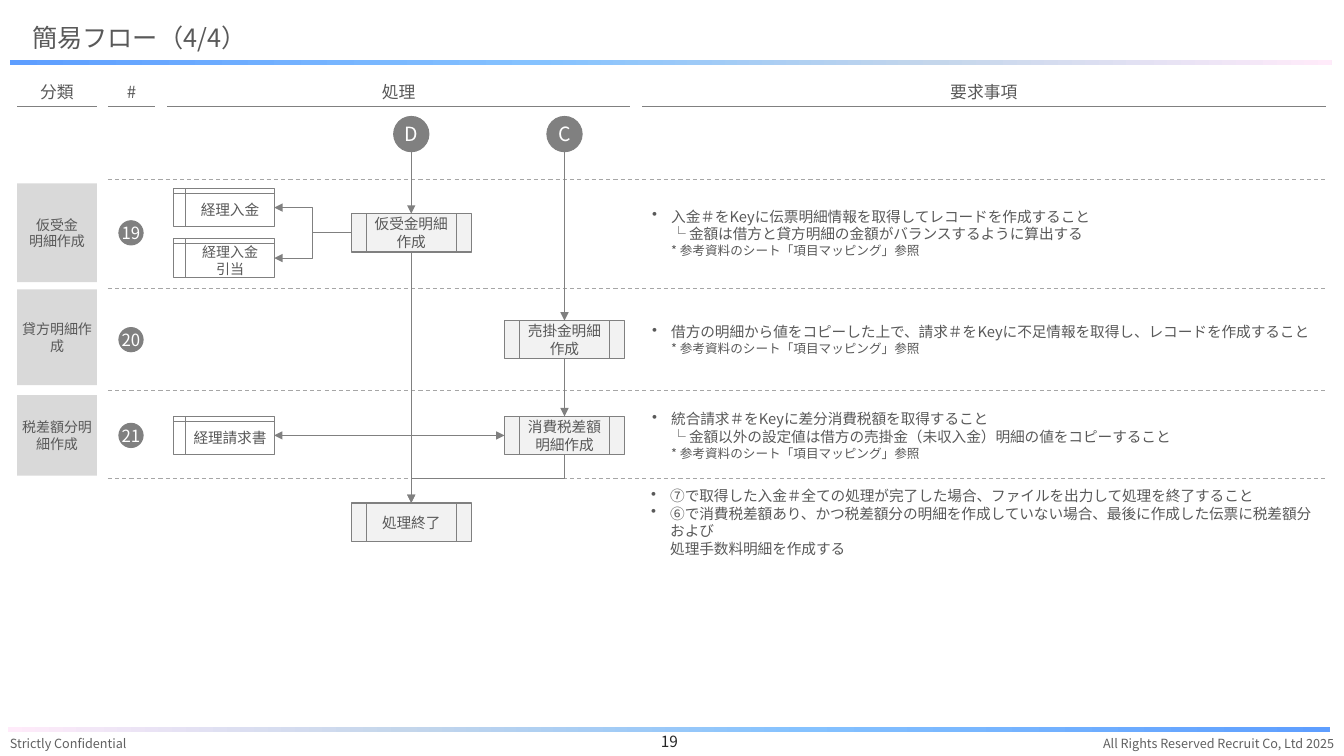
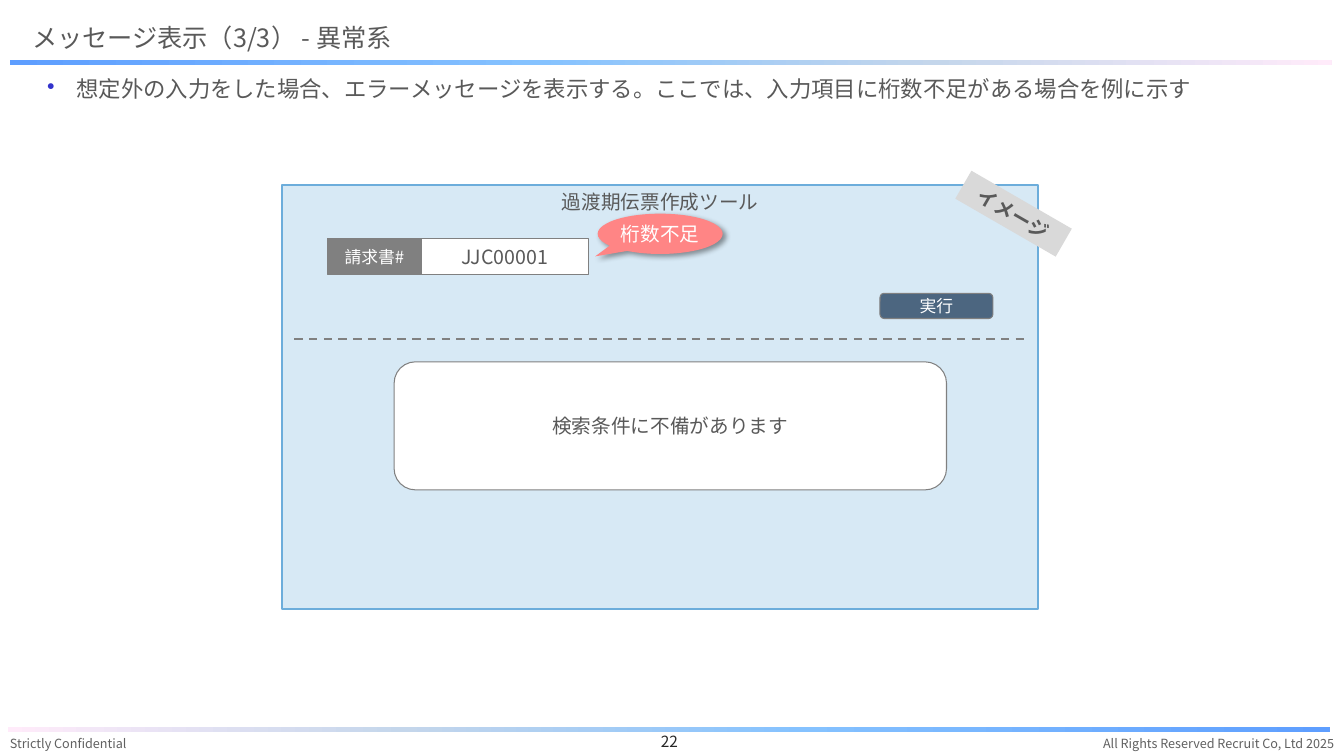
from dataclasses import dataclass
from typing import NamedTuple, Optional, Sequence

from lxml.etree import SubElement
from pptx import Presentation
from pptx.dml.color import RGBColor
from pptx.enum.dml import MSO_LINE
from pptx.enum.shapes import MSO_CONNECTOR, MSO_SHAPE
from pptx.enum.text import MSO_ANCHOR, PP_ALIGN
from pptx.oxml.ns import qn
from pptx.util import Emu, Inches, Pt

# The slide is a grid of square cells, ten to the inch; all lengths count cells.
CELL = Inches(0.1)
GRID_COLUMNS, GRID_ROWS = 133.33, 75

FONT = "Noto Sans CJK JP"
WHITE = RGBColor(0xFF, 0xFF, 0xFF)
TEXT = RGBColor(0x59, 0x59, 0x59)
FOOTER_TEXT = RGBColor(0x60, 0x60, 0x60)
NUMBER_TEXT = RGBColor(0x26, 0x26, 0x26)
GRAY = RGBColor(0x80, 0x80, 0x80)
DASH_GRAY = RGBColor(0xA6, 0xA6, 0xA6)
LABEL_GRAY = RGBColor(0xD9, 0xD9, 0xD9)
PROCESS_FILL = RGBColor(0xF2, 0xF2, 0xF2)
BULLET_BLUE = RGBColor(0x33, 0x33, 0xCC)
SCREEN_FILL = RGBColor(0xD7, 0xE9, 0xF5)
SCREEN_LINE = RGBColor(0x6C, 0xAD, 0xDB)
BUTTON_FILL = RGBColor(0x4C, 0x66, 0x80)
WARNING_FILL = RGBColor(0xFF, 0x85, 0x85)
BAND_STOPS = ((0, "5E9EFF"), (40, "85C2FF"), (70, "C4D6EB"), (100, "FFEBFA"))


class Point(NamedTuple):
    x: float
    y: float


class Box(NamedTuple):
    left: float
    top: float
    width: float
    height: float

    @property
    def right(self) -> float:
        return self.left + self.width

    @property
    def bottom(self) -> float:
        return self.top + self.height

    @property
    def center(self) -> Point:
        return Point(self.left + self.width / 2, self.top + self.height / 2)


class Line(NamedTuple):
    """One line of text inside a paragraph."""
    text: str
    size: float


@dataclass(frozen=True)
class Style:
    color: RGBColor = TEXT
    align: PP_ALIGN = PP_ALIGN.CENTER
    anchor: MSO_ANCHOR = MSO_ANCHOR.MIDDLE
    margins: tuple = (0.4, 0.4)
    wrap: bool = True
    bold: bool = False
    indent: float = 0
    bullet_color: RGBColor = TEXT


LABEL = Style()
LIGHT_LABEL = Style(color=WHITE, wrap=False)
TITLE = Style(align=PP_ALIGN.LEFT, margins=(1, 0.5))
BULLETS = Style(align=PP_ALIGN.LEFT, margins=(1, 0.5), indent=1.9)
LEAD = Style(align=PP_ALIGN.LEFT, anchor=MSO_ANCHOR.TOP, margins=(1, 0.5),
             indent=2.9, bullet_color=BULLET_BLUE)


@dataclass(frozen=True)
class Block:
    """A preset shape with an optional centred label."""
    box: Box
    geometry: MSO_SHAPE
    fill: RGBColor
    line: Optional[RGBColor] = GRAY
    label: str = ""
    size: float = 10.5
    style: Style = LABEL
    line_width: float = 0.75
    adjustments: tuple = ()
    rotation: float = 0
    shadow: bool = False


@dataclass(frozen=True)
class FlowRow:
    number: str
    category: str
    category_top: float
    category_height: float
    center: float
    requirement: tuple


def cells(count: float) -> Emu:
    return Emu(round(count * CELL))


def around(center: Point, width: float, height: float) -> Box:
    return Box(center.x - width / 2, center.y - height / 2, width, height)


def label_paragraphs(label: str, size: float) -> list:
    return [[Line(text, size)] for text in label.split("\n")]


def write_text(shape, paragraphs: Sequence[Sequence[Line]], style: Style) -> None:
    frame = shape.text_frame
    frame.word_wrap = style.wrap
    frame.vertical_anchor = style.anchor
    frame.margin_left = frame.margin_right = cells(style.margins[0])
    frame.margin_top = frame.margin_bottom = cells(style.margins[1])
    for index, lines in enumerate(paragraphs):
        paragraph = frame.add_paragraph() if index else frame.paragraphs[0]
        paragraph.alignment = style.align
        if style.indent:
            add_bullet(paragraph, style)
        for position, line in enumerate(lines):
            if position:
                paragraph.add_line_break()
                SubElement(paragraph._p[-1], qn("a:rPr"), sz=str(int(line.size * 100)))
            run = paragraph.add_run()
            run.text = line.text
            run.font.size = Pt(line.size)
            run.font.bold = style.bold
            run.font.color.rgb = style.color
            run.font.name = FONT
            SubElement(run._r.get_or_add_rPr(), qn("a:ea"), typeface=FONT)


def add_bullet(paragraph, style: Style) -> None:
    properties = paragraph._p.get_or_add_pPr()
    properties.set("marL", str(cells(style.indent)))
    properties.set("indent", str(-cells(style.indent)))
    color = SubElement(properties, qn("a:buClr"))
    SubElement(color, qn("a:srgbClr"), val=str(style.bullet_color))
    SubElement(properties, qn("a:buChar"), char="•")


def add_text(slide, box: Box, paragraphs: Sequence[Sequence[Line]], style: Style) -> None:
    write_text(slide.shapes.add_textbox(*map(cells, box)), paragraphs, style)


def add_block(slide, block: Block) -> None:
    shape = slide.shapes.add_shape(block.geometry, *map(cells, block.box))
    shape.rotation = block.rotation
    for index, value in enumerate(block.adjustments):
        shape.adjustments[index] = value
    shape.fill.solid()
    shape.fill.fore_color.rgb = block.fill
    if block.line is None:
        shape.line.fill.background()
    else:
        shape.line.color.rgb = block.line
        shape.line.width = Pt(block.line_width)
    shape.shadow.inherit = False
    if block.shadow:
        effects = shape._element.spPr.find(qn("a:effectLst"))
        shadow = SubElement(effects, qn("a:outerShdw"), blurRad=str(Pt(4)),
                            dist=str(Pt(3)), dir=str(45 * 60000))
        color = SubElement(shadow, qn("a:srgbClr"), val="000000")
        SubElement(color, qn("a:alpha"), val="40000")
    if block.label:
        write_text(shape, label_paragraphs(block.label, block.size), block.style)


def add_line(slide, start: Point, end: Point, color: RGBColor = GRAY, width: float = 0.75,
             kind: MSO_CONNECTOR = MSO_CONNECTOR.STRAIGHT, dashed: bool = False,
             arrows: Sequence[str] = (), quarter_turn: bool = False) -> None:
    """Draw a connector; arrows holds headEnd and/or tailEnd."""
    connector = slide.shapes.add_connector(kind, *map(cells, (*start, *end)))
    connector.line.color.rgb = color
    connector.line.width = Pt(width)
    if dashed:
        connector.line.dash_style = MSO_LINE.DASH
    for arrow in arrows:
        SubElement(connector.line._get_or_add_ln(), qn(f"a:{arrow}"), type="triangle")
    properties = connector._element.spPr
    SubElement(properties, qn("a:effectLst"))
    if quarter_turn:
        properties.find(qn("a:xfrm")).set("rot", str(90 * 60000))


def add_elbow_down_left(slide, start: Point, end: Point) -> None:
    """Leave downwards, then go left, then down to the end."""
    middle = Point((start.x + end.x) / 2, (start.y + end.y) / 2)
    turned = around(middle, end.y - start.y, start.x - end.x)
    add_line(slide, Point(turned.left, turned.top), Point(turned.right, turned.bottom),
             kind=MSO_CONNECTOR.ELBOW, arrows=("tailEnd",), quarter_turn=True)


def add_band(slide, box: Box, stops: Sequence[tuple]) -> None:
    band = slide.shapes.add_shape(MSO_SHAPE.RECTANGLE, *map(cells, box))
    band.shadow.inherit = False
    band.line.fill.background()
    band.fill.gradient()
    band.fill.gradient_angle = 0
    stop_list = band._element.spPr.find(qn("a:gradFill")).find(qn("a:gsLst"))
    for stop in list(stop_list):
        stop_list.remove(stop)
    for position, color in stops:
        stop = SubElement(stop_list, qn("a:gs"), pos=str(position * 1000))
        SubElement(stop, qn("a:srgbClr"), val=color)


def add_framed_slide(presentation, title: str, number: str):
    """Add a blank slide with the shared title, bands and footer."""
    slide = presentation.slides.add_slide(presentation.slide_layouts[6])
    add_band(slide, Box(1, 6, 131.1, 0.5), BAND_STOPS)
    add_band(slide, Box(0.8, 72.1, 131.1, 0.5),
             [(100 - position, color) for position, color in reversed(BAND_STOPS)])
    add_text(slide, Box(2.2, 1.7, 108.6, 4.1), [[Line(title, 18)]], TITLE)
    footers = (
        (Box(0, 72.5, 15, 2.5), "Strictly Confidential", 9, PP_ALIGN.LEFT, FOOTER_TEXT),
        (Box(106.2, 72.5, 27.1, 2.5), "All Rights Reserved Recruit Co, Ltd 2025", 9,
         PP_ALIGN.RIGHT, FOOTER_TEXT),
        (Box(52.5, 72.5, 27.8, 2.5), number, 11, PP_ALIGN.CENTER, NUMBER_TEXT),
    )
    for box, text, size, align, color in footers:
        anchor = MSO_ANCHOR.BOTTOM if text == number else MSO_ANCHOR.TOP
        style = Style(color=color, align=align, anchor=anchor, margins=(1, 0.5))
        add_text(slide, box, [[Line(text, size)]], style)
    return slide


COLUMNS = {"分類": (1.7, 7.9), "#": (10.7, 4.7), "処理": (16.6, 45.9), "要求事項": (63.7, 67.8)}
ROW_EDGES = (17.8, 28.6, 38.7, 47.5)
REFERENCE = Line("* 参考資料のシート「項目マッピング」参照", 9)
FLOW_ROWS = (
    FlowRow("19", "仮受金\n明細作成", 18.2, 9.8, 23.1, (
        Line("入金＃をKeyに伝票明細情報を取得してレコードを作成すること", 10.5),
        Line("└ 金額は借方と貸方明細の金額がバランスするように算出する", 10.5), REFERENCE)),
    FlowRow("20", "貸方明細作成", 28.7, 9.5, 33.7, (
        Line("借方の明細から値をコピーした上で、請求＃をKeyに不足情報を取得し、レコードを作成すること", 10.5),
        REFERENCE)),
    FlowRow("21", "税差額分明細作成", 39.2, 8, 43.2, (
        Line("統合請求＃をKeyに差分消費税額を取得すること", 10.5),
        Line("└ 金額以外の設定値は借方の売掛金（未収入金）明細の値をコピーすること", 10.5), REFERENCE)),
)
CLOSING_REQUIREMENTS = (
    (Line("⑦で取得した入金＃全ての処理が完了した場合、ファイルを出力して処理を終了すること", 10.5),),
    (Line("⑥で消費税差額あり、かつ税差額分の明細を作成していない場合、最後に作成した伝票に税差額分および", 10.5),
     Line("処理手数料明細を作成する", 10.5)),
)
LANE_STORAGE, LANE_D, LANE_C = 22.2, 40.8, 56


def build_flow_slide(presentation) -> None:
    slide = add_framed_slide(presentation, "簡易フロー（4/4）", "19")
    for heading, (left, width) in COLUMNS.items():
        add_text(slide, Box(left, 7.5, width, 3.2), [[Line(heading, 12)]], LABEL)
        add_line(slide, Point(left, 10.6), Point(left + width, 10.6))
    category_left, category_width = COLUMNS["分類"]
    number_left = COLUMNS["#"][0]
    requirement_left, requirement_width = COLUMNS["要求事項"]
    for edge in ROW_EDGES:
        add_line(slide, Point(number_left, edge), Point(131.6, edge), DASH_GRAY, dashed=True)
    for row in FLOW_ROWS:
        category = Box(category_left, row.category_top, category_width, row.category_height)
        add_block(slide, Block(category, MSO_SHAPE.RECTANGLE, LABEL_GRAY, None, row.category, 10))
        add_block(slide, Block(around(Point(13, row.center), 2.4, 2.4), MSO_SHAPE.OVAL, GRAY,
                               label=row.number, size=12, style=LIGHT_LABEL))
        add_text(slide, Box(requirement_left, row.center - 2.8, requirement_width, 5.6),
                 [row.requirement], BULLETS)
    add_text(slide, Box(63.6, 49.5, requirement_width, 4.6), CLOSING_REQUIREMENTS, BULLETS)

    first, second, third = (row.center for row in FLOW_ROWS)
    entry_d, entry_c = (around(Point(lane, 13.3), 3.5, 3.5) for lane in (LANE_D, LANE_C))
    receipt, sales, tax, finish = (
        around(Point(lane, center), 11.9, 3.8) for lane, center in
        ((LANE_D, first), (LANE_C, second), (LANE_C, third), (LANE_D, 51.8)))
    deposit, allocation, invoice = (
        around(Point(LANE_STORAGE, center), 10, 3.8)
        for center in (first - 2.5, first + 2.5, third))

    def below(box: Box) -> Point:
        return Point(box.center.x, box.bottom)

    for start, end in ((entry_d, receipt), (entry_c, sales), (receipt, finish), (sales, tax)):
        add_line(slide, below(start), Point(end.center.x, end.top), arrows=("tailEnd",))
    for storage in (deposit, allocation):
        add_line(slide, Point(receipt.left, first), Point(storage.right, storage.center.y),
                 kind=MSO_CONNECTOR.ELBOW, arrows=("tailEnd",))
    add_line(slide, Point(invoice.right, third), Point(tax.left, third),
             arrows=("headEnd", "tailEnd"))
    add_elbow_down_left(slide, below(tax), Point(LANE_D, finish.top))
    for box, label in ((entry_d, "D"), (entry_c, "C")):
        add_block(slide, Block(box, MSO_SHAPE.OVAL, GRAY, label=label, size=14, style=LIGHT_LABEL))
    for box, label in ((receipt, "仮受金明細\n作成"), (sales, "売掛金明細\n作成"),
                       (tax, "消費税差額\n明細作成"), (finish, "処理終了")):
        add_block(slide, Block(box, MSO_SHAPE.FLOWCHART_PREDEFINED_PROCESS, PROCESS_FILL, label=label))
    for box, label, size in ((deposit, "経理入金", 10.5), (allocation, "経理入金\n引当", 10),
                             (invoice, "経理請求書", 10.5)):
        add_block(slide, Block(box, MSO_SHAPE.FLOWCHART_INTERNAL_STORAGE, WHITE, label=label, size=size))


SCREEN_BLOCKS = (
    Block(Box(28, 18.4, 75, 42), MSO_SHAPE.FLOWCHART_PROCESS, SCREEN_FILL, SCREEN_LINE,
          "過渡期伝票作成ツール", 14, Style(anchor=MSO_ANCHOR.TOP), line_width=1.5),
    Block(Box(39.1, 35.9, 54.8, 12.7), MSO_SHAPE.ROUNDED_RECTANGLE, WHITE,
          label="検索条件に不備があります", size=14),
    Block(Box(87.3, 29.1, 11.2, 2.5), MSO_SHAPE.ROUNDED_RECTANGLE, BUTTON_FILL,
          label="実行", size=12, style=LIGHT_LABEL),
    Block(Box(32.5, 23.7, 9.3, 3.5), MSO_SHAPE.RECTANGLE, GRAY,
          label="請求書#", size=12, style=LIGHT_LABEL),
    Block(Box(41.8, 23.7, 16.6, 3.5), MSO_SHAPE.RECTANGLE, WHITE, label="JJC00001", size=14),
    Block(Box(94.8, 19.6, 11.5, 3.2), MSO_SHAPE.FLOWCHART_PROCESS, LABEL_GRAY, None,
          "イメージ", 14, Style(bold=True), rotation=30),
    Block(Box(59.3, 21.2, 12.4, 4), MSO_SHAPE.OVAL_CALLOUT, WARNING_FILL, None,
          "桁数不足", 14, LIGHT_LABEL, adjustments=(-0.52, 0.56), shadow=True),
)


def build_message_slide(presentation) -> None:
    slide = add_framed_slide(presentation, "メッセージ表示（3/3） - 異常系", "22")
    lead = "想定外の入力をした場合、エラーメッセージを表示する。ここでは、入力項目に桁数不足がある場合を例に示す"
    add_text(slide, Box(3.7, 7, 126, 4), [[Line(lead, 16)]], LEAD)
    for block in SCREEN_BLOCKS:
        add_block(slide, block)
    add_line(slide, Point(29.2, 33.6), Point(101.9, 33.6), width=1.5, dashed=True)


def main() -> None:
    presentation = Presentation()
    presentation.slide_width = cells(GRID_COLUMNS)
    presentation.slide_height = cells(GRID_ROWS)
    build_flow_slide(presentation)
    build_message_slide(presentation)
    presentation.save("out.pptx")


if __name__ == "__main__":
    main()
